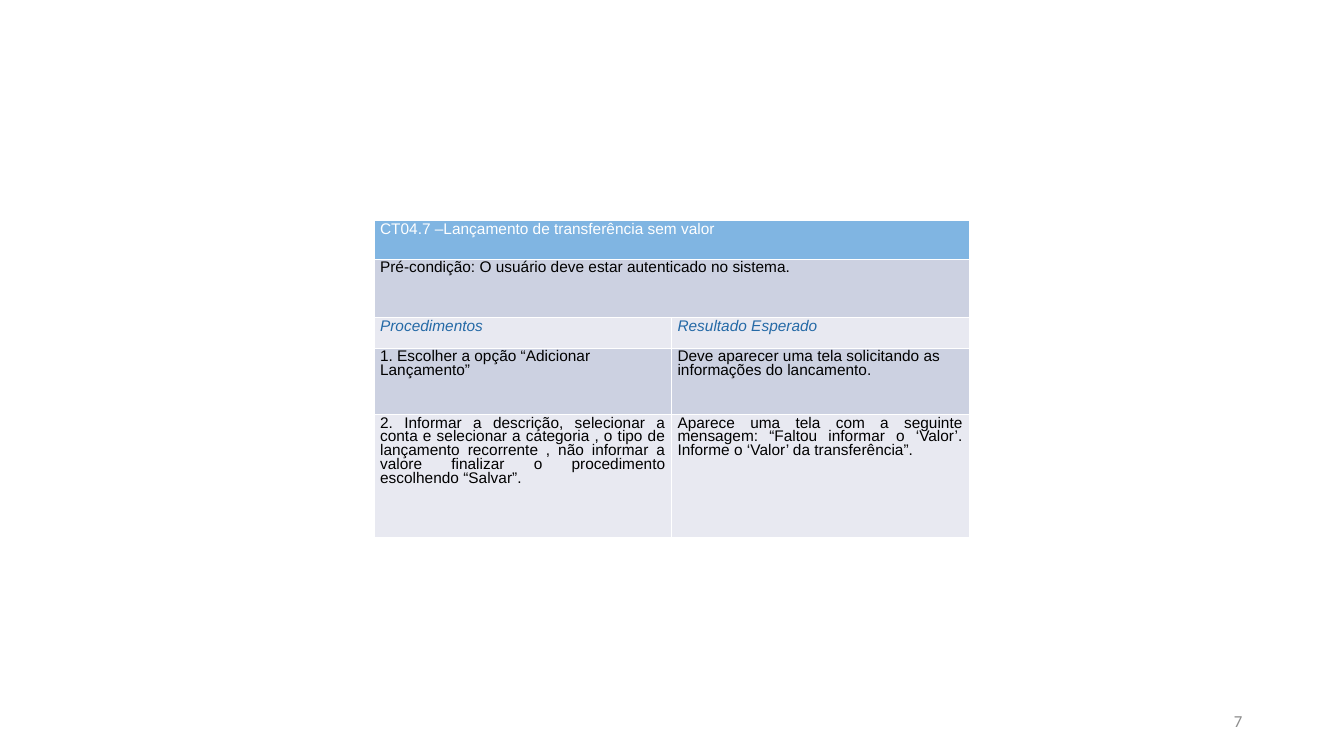
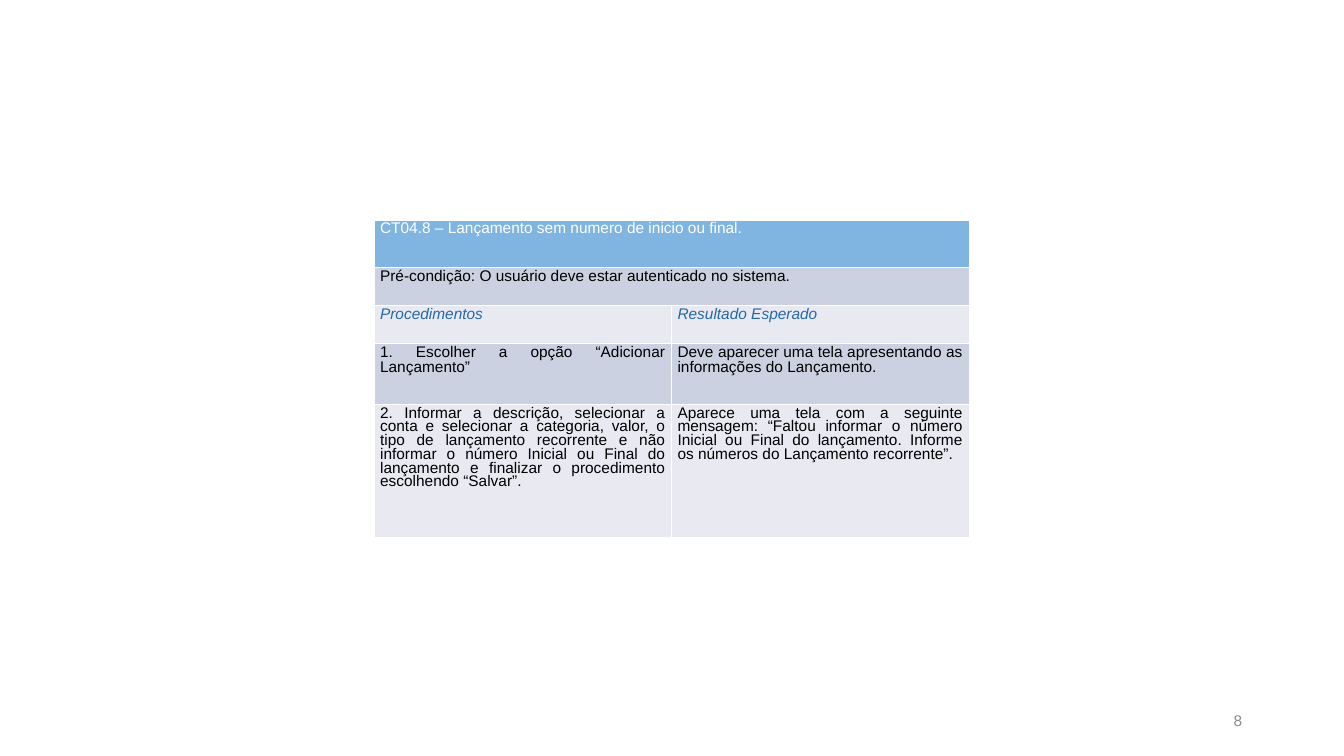
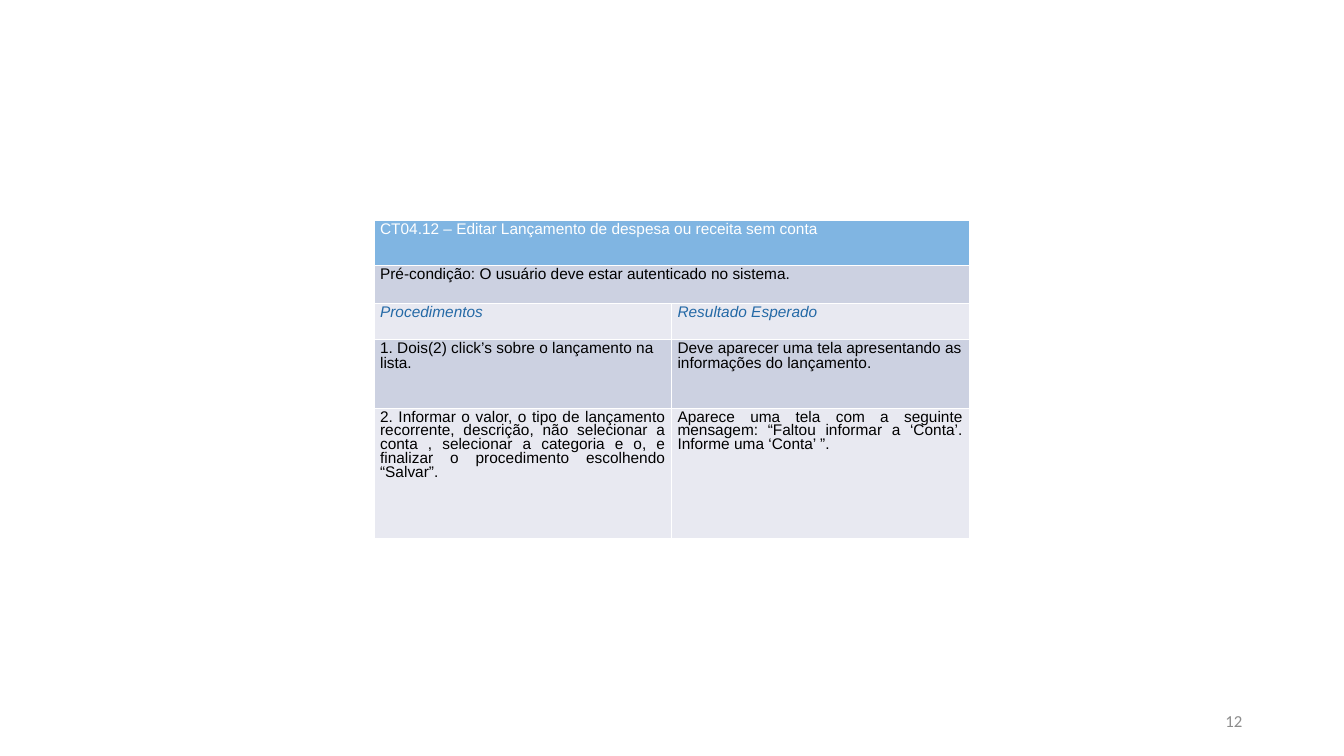
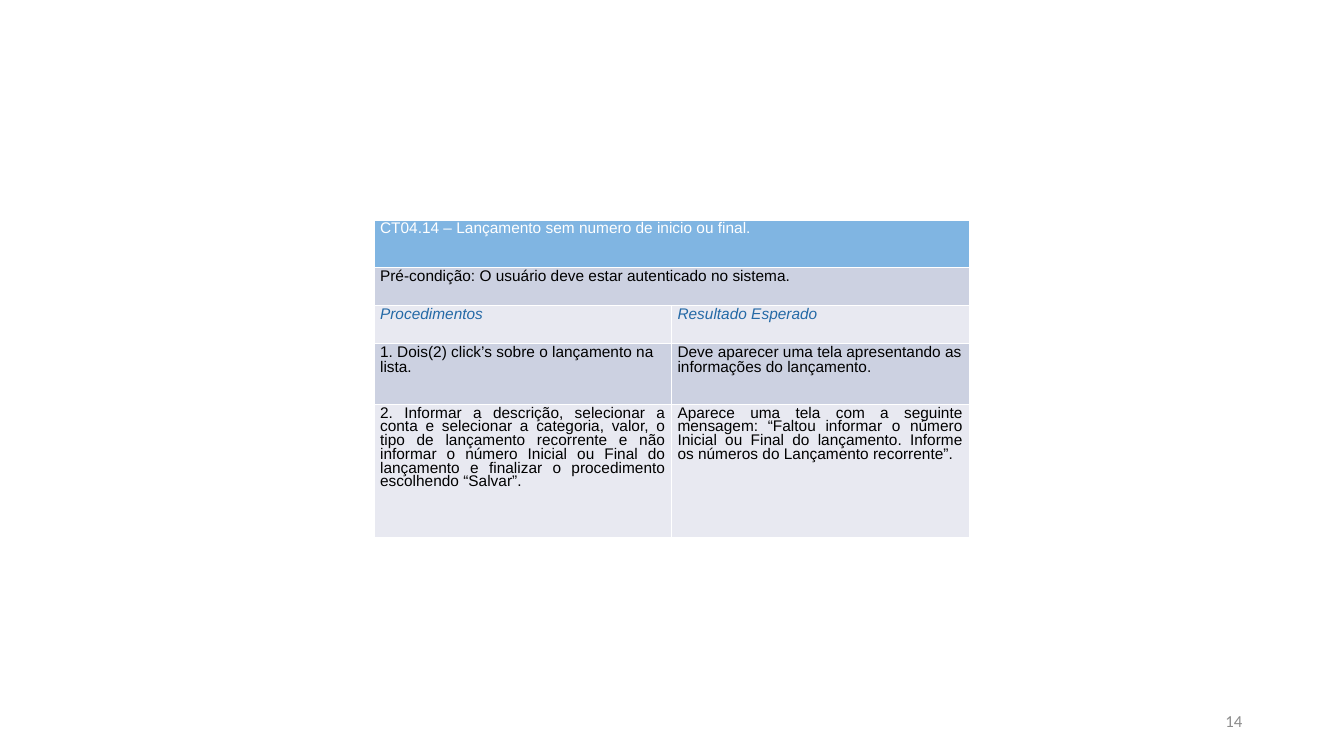
import dataclasses
import typing

import lxml.etree
import pptx
import pptx.dml.color
import pptx.enum.text
import pptx.oxml.ns
import pptx.util

Inches = pptx.util.Inches
Pt = pptx.util.Pt
RGBColor = pptx.dml.color.RGBColor
PP_ALIGN = pptx.enum.text.PP_ALIGN
qn = pptx.oxml.ns.qn

WHITE = RGBColor(0xFF, 0xFF, 0xFF)
BLACK = RGBColor(0x00, 0x00, 0x00)
HEADER_BLUE = RGBColor(0x80, 0xB5, 0xE2)
LABEL_BLUE = RGBColor(0x24, 0x69, 0xA6)
DARK_BAND = RGBColor(0xCC, 0xD1, 0xE1)
LIGHT_BAND = RGBColor(0xE8, 0xE9, 0xF1)
NUMBER_GREY = RGBColor(0x8C, 0x8C, 0x8C)

LEFT, TOP, COLUMN_WIDTH = 3.71, 2.18, 2.95
TIGHT, LOOSE = 0.8, 0.86
BORDER_WIDTH = Pt(0.06)
CELL_FORMAT = {
    "margin_left": Inches(0.06),
    "margin_right": Inches(0.06),
    "margin_top": Inches(0.03),
    "margin_bottom": Inches(0.03),
}
CELL_FONT = {"name": "Arial", "size": Pt(11), "italic": False}
LABEL_FONT = CELL_FONT | {"italic": True}
NUMBER_FONT = {"name": "Calibri", "size": Pt(12)}

PRECONDITION = "Pré-condição: O usuário deve estar autenticado no sistema."
ADD_ENTRY = "1. Escolher a opção “Adicionar Lançamento”"
OPEN_ENTRY = "1. Dois(2) click’s sobre o lançamento na lista."
ENTRY_SHOWN = "Deve aparecer uma tela apresentando as informações do lançamento."
NO_RANGE = (
    "2. Informar a descrição, selecionar a conta e selecionar a categoria, valor, "
    "o tipo de lançamento recorrente e não informar o número Inicial ou Final do "
    "lançamento e finalizar o procedimento escolhendo “Salvar”.",
    "Aparece uma tela com a seguinte mensagem: “Faltou informar o número Inicial ou "
    "Final do lançamento. Informe os números do Lançamento recorrente”.",
)
RANGE_HEIGHTS = (0.47, 0.38, 0.37, 0.61, 1.32)


@dataclasses.dataclass(frozen=True)
class TestCase:
    number: int
    title: str
    first_step: tuple[str, str]
    second_step: tuple[str, str]
    heights: tuple[float, ...]
    title_spacing: float = TIGHT
    step_spacing: float = LOOSE
    step_align: PP_ALIGN = PP_ALIGN.LEFT
    number_font: dict[str, typing.Any] = dataclasses.field(
        default_factory=lambda: NUMBER_FONT
    )


@dataclasses.dataclass(frozen=True)
class RowStyle:
    fill: RGBColor
    color: RGBColor = BLACK
    spacing: float = TIGHT
    align: PP_ALIGN = PP_ALIGN.LEFT
    font: dict[str, typing.Any] = dataclasses.field(default_factory=lambda: CELL_FONT)


CASES = (
    TestCase(
        7,
        "CT04.7 –Lançamento de transferência sem valor",
        (
            ADD_ENTRY,
            "Deve aparecer uma tela solicitando as informações do lancamento.",
        ),
        (
            "2. Informar a descrição, selecionar a conta e selecionar a categoria , "
            "o tipo de lançamento recorrente , não informar a valore finalizar o "
            "procedimento escolhendo “Salvar”.",
            "Aparece uma tela com a seguinte mensagem: “Faltou informar o ‘Valor’. "
            "Informe o ‘Valor’ da transferência”.",
        ),
        (0.39, 0.58, 0.3, 0.66, 1.22),
        title_spacing=LOOSE,
        step_spacing=TIGHT,
    ),
    TestCase(
        8,
        "CT04.8 – Lançamento sem numero de inicio ou final.",
        (
            ADD_ENTRY,
            "Deve aparecer uma tela apresentando as informações do Lançamento.",
        ),
        NO_RANGE,
        RANGE_HEIGHTS,
        step_align=PP_ALIGN.JUSTIFY,
        number_font=CELL_FONT,
    ),
    TestCase(
        12,
        "CT04.12 – Editar Lançamento de despesa ou receita sem conta",
        (OPEN_ENTRY, ENTRY_SHOWN),
        (
            "2. Informar o valor, o tipo de lançamento recorrente, descrição, não "
            "selecionar a conta , selecionar a categoria e o, e finalizar o "
            "procedimento escolhendo “Salvar”.",
            "Aparece uma tela com a seguinte mensagem: “Faltou informar a ‘Conta’. "
            "Informe uma ‘Conta’ ”.",
        ),
        (0.45, 0.38, 0.35, 0.69, 1.29),
        title_spacing=LOOSE,
    ),
    TestCase(
        14,
        "CT04.14 – Lançamento sem numero de inicio ou final.",
        (OPEN_ENTRY, ENTRY_SHOWN),
        NO_RANGE,
        RANGE_HEIGHTS,
    ),
)


def apply(target: typing.Any, values: dict[str, typing.Any]) -> None:
    for name, value in values.items():
        setattr(target, name, value)


def write(
    p: typing.Any, text: str, font: dict[str, typing.Any], color: RGBColor
) -> None:
    r = p.add_run()
    r.text = text
    apply(r.font, font)
    r.font.color.rgb = color


def add_borders(cell: typing.Any) -> None:
    properties = cell._tc.get_or_add_tcPr()
    for side in ("a:lnL", "a:lnR", "a:lnT", "a:lnB"):
        line = lxml.etree.SubElement(properties, qn(side), w=str(BORDER_WIDTH))
        fill = lxml.etree.SubElement(line, qn("a:solidFill"))
        lxml.etree.SubElement(fill, qn("a:srgbClr"), val=str(WHITE))


def style_cell(cell: typing.Any, style: RowStyle) -> None:
    apply(cell, CELL_FORMAT)
    add_borders(cell)
    cell.fill.solid()
    cell.fill.fore_color.rgb = style.fill


def fill_cell(cell: typing.Any, text: str, style: RowStyle) -> None:
    p = cell.text_frame.paragraphs[0]
    apply(p, {"alignment": style.align, "line_spacing": style.spacing})
    write(p, text, style.font, style.color)


def add_case_table(s: typing.Any, case: TestCase) -> None:
    rows = (
        ((case.title,), RowStyle(HEADER_BLUE, WHITE, case.title_spacing)),
        ((PRECONDITION,), RowStyle(DARK_BAND)),
        (
            ("Procedimentos", "Resultado Esperado"),
            RowStyle(LIGHT_BAND, LABEL_BLUE, font=LABEL_FONT),
        ),
        (
            case.first_step,
            RowStyle(DARK_BAND, spacing=case.step_spacing, align=case.step_align),
        ),
        (case.second_step, RowStyle(LIGHT_BAND, align=PP_ALIGN.JUSTIFY)),
    )
    table = s.shapes.add_table(
        len(rows),
        2,
        Inches(LEFT),
        Inches(TOP),
        Inches(2 * COLUMN_WIDTH),
        Inches(sum(case.heights)),
    ).table
    apply(table, {"first_row": False, "horz_banding": False})
    for column in table.columns:
        column.width = Inches(COLUMN_WIDTH)
    for i, (texts, style) in enumerate(rows):
        table.rows[i].height = Inches(case.heights[i])
        for j in range(2):
            style_cell(table.cell(i, j), style)
        if len(texts) == 1:
            table.cell(i, 0).merge(table.cell(i, 1))
        for j, text in enumerate(texts):
            fill_cell(table.cell(i, j), text, style)


def add_slide_number(s: typing.Any, case: TestCase) -> None:
    sp = s.shapes.add_textbox(Inches(9.42), Inches(6.95), Inches(3), Inches(0.4))
    tf = sp.text_frame
    apply(
        tf,
        {"word_wrap": True, "vertical_anchor": pptx.enum.text.MSO_ANCHOR.MIDDLE},
    )
    p = tf.paragraphs[0]
    p.alignment = PP_ALIGN.RIGHT
    write(p, str(case.number), case.number_font, NUMBER_GREY)


def main() -> None:
    prs = pptx.Presentation()
    apply(prs, {"slide_width": Inches(13.33), "slide_height": Inches(7.5)})
    for case in CASES:
        s = prs.slides.add_slide(prs.slide_layouts[6])
        add_slide_number(s, case)
        add_case_table(s, case)
    prs.save("out.pptx")


if __name__ == "__main__":
    main()
